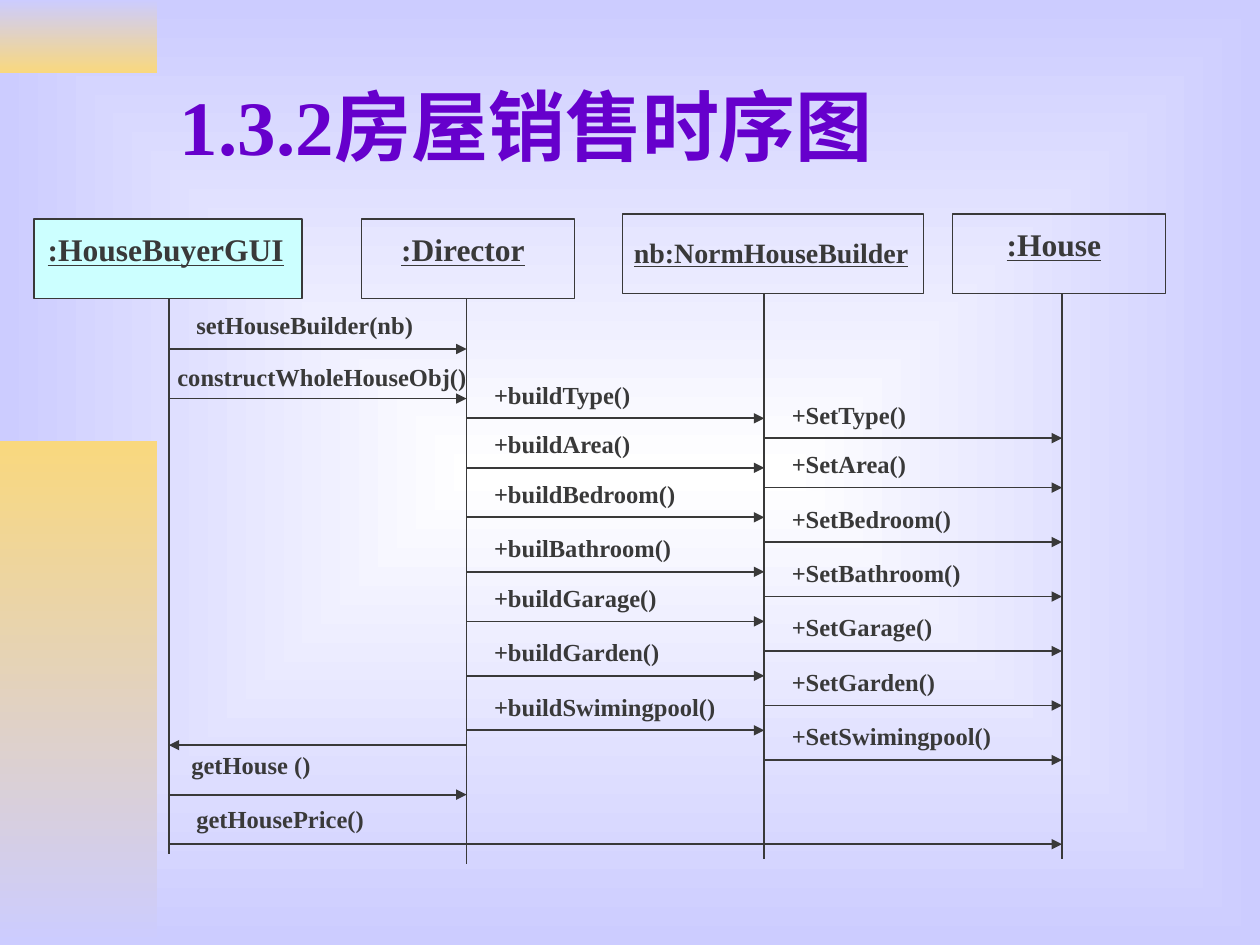
from dataclasses import dataclass

import pptx
import pptx.dml.color
import pptx.enum.shapes
import pptx.enum.text
import pptx.oxml
import pptx.oxml.ns
import pptx.util
from lxml import etree

qn = pptx.oxml.ns.qn
PP_ALIGN = pptx.enum.text.PP_ALIGN


@dataclass(frozen=True)
class Theme:
    font: str = "Times New Roman"
    ink: str = "393939"
    title: str = "6600CC"
    lilac: str = "CCCCFF"
    gold: str = "F9D87E"
    white: str = "FFFFFF"
    cyan: str = "CCFFFF"
    title_size: int = 44
    head_size: int = 18
    small_head_size: int = 16
    label_size: int = 14
    line_width: int = 1


class Diagram:
    """Draws on one slide; every length is in cells of a 100 x 75 grid."""
    COLS, ROWS = 100, 75

    def __init__(self, prs, theme):
        self.theme = theme
        self.s = prs.slides.add_slide(prs.slide_layouts[6])
        self.cell_w = prs.slide_width / self.COLS
        self.cell_h = prs.slide_height / self.ROWS

    def place(self, x, y, w, h):
        return (round(x * self.cell_w), round(y * self.cell_h),
                round(w * self.cell_w), round(h * self.cell_h))

    def rgb(self, colour):
        return pptx.dml.color.RGBColor.from_string(colour)

    def gradient(self, fill, first, last):
        """Two-stop gradient running from top to bottom."""
        fill.gradient()
        fill.gradient_angle = 270
        for stop, colour in zip(fill.gradient_stops, (first, last)):
            stop.color.rgb = self.rgb(colour)

    def background(self, centre, edge):
        """Rectangular gradient spreading from the middle of the slide."""
        self.gradient(self.s.background.fill, centre, edge)
        grad = self.s.element.find(".//" + qn("a:gradFill"))
        grad.remove(grad.find(qn("a:lin")))
        path = etree.SubElement(grad, qn("a:path"), path="rect")
        etree.SubElement(path, qn("a:fillToRect"),
                         l="50000", t="50000", r="50000", b="50000")

    def rect(self, *box):
        sp = self.s.shapes.add_shape(
            pptx.enum.shapes.MSO_SHAPE.RECTANGLE, *self.place(*box))
        sp.shadow.inherit = False
        return sp

    def band(self, box, top, bottom):
        sp = self.rect(*box)
        sp.line.fill.background()
        self.gradient(sp.fill, top, bottom)

    def frame(self, box, fill=None):
        sp = self.rect(*box)
        self.stroke(sp.line)
        if fill:
            sp.fill.solid()
            sp.fill.fore_color.rgb = self.rgb(fill)
        else:
            sp.fill.background()

    def stroke(self, line):
        line.color.rgb = self.rgb(self.theme.ink)
        line.width = pptx.util.Pt(self.theme.line_width)

    def line(self, x1, y1, x2, y2, arrow=False):
        ends = self.place(x1, y1, x2, y2)
        c = self.s.shapes.add_connector(
            pptx.enum.shapes.MSO_CONNECTOR.STRAIGHT, *ends)
        self.stroke(c.line)
        if arrow:
            etree.SubElement(c.line._get_or_add_ln(), qn("a:tailEnd"),
                             type="triangle")
        etree.SubElement(c.element.spPr, qn("a:effectLst"))

    def text(self, box, words, size, colour=None, align=PP_ALIGN.LEFT,
             underline=False, middle=False):
        tf = self.s.shapes.add_textbox(*self.place(*box)).text_frame
        tf.word_wrap = True
        if middle:
            tf.vertical_anchor = pptx.enum.text.MSO_ANCHOR.MIDDLE
        else:
            tf.auto_size = pptx.enum.text.MSO_AUTO_SIZE.SHAPE_TO_FIT_TEXT
        p = tf.paragraphs[0]
        p.alignment = align
        r = p.add_run()
        r.text = words
        r.font.name = self.theme.font
        r.font.size = pptx.util.Pt(size)
        r.font.bold = True
        r.font.underline = underline
        r.font.color.rgb = self.rgb(colour or self.theme.ink)


THEME = Theme()
LIFELINES = [13.4 + 23.63 * i for i in range(4)]
HEAD_H = 6.3
FIRST_MESSAGE, STEP = 27.7, 0.393

# name, frame (left, top, width), text (left, top, width), size, lifeline end
PARTICIPANTS = [
    (":HouseBuyerGUI", (2.7, 17.4, 21.3), (2.8, 17.8, 20.8),
     THEME.head_size, 67.8),
    (":Director", (28.7, 17.4, 16.9), (29.1, 17.8, 15.3),
     THEME.head_size, 68.6),
    ("nb:NormHouseBuilder", (49.4, 17, 23.9), (49.2, 18.2, 24),
     THEME.small_head_size, 68.2),
    (":House", (75.6, 17, 16.9), (76, 17.4, 15.3), THEME.head_size, 68.2),
]

# from lifeline, to lifeline, step down the diagram, label
BUILD_STEPS = zip(
    (14, 24, 34, 45, 55, 66, 77), (18, 28, 39, 50, 61, 72, 83),
    ("buildType", "buildArea", "buildBedroom", "builBathroom",
     "buildGarage", "buildGarden", "buildSwimingpool"),
    ("SetType", "SetArea", "SetBedroom", "SetBathroom",
     "SetGarage", "SetGarden", "SetSwimingpool"))
MESSAGES = [(0, 1, 0, "setHouseBuilder(nb)")]
for build_at, set_at, build, setter in BUILD_STEPS:
    MESSAGES += [(1, 2, build_at, f"+{build}()"),
                 (2, 3, set_at, f"+{setter}()")]
MESSAGES += [(1, 0, 80, None), (0, 3, 100, "getHousePrice()")]

# labels set apart from the usual place: right shift, rise, width
LABEL = (1.2, 3.55, 22)
SHIFTED = {
    "constructWholeHouseObj()": (-0.3, 3.4, 26),
    "getHouse ()": (0.8, 4, 22.1),
    "getHousePrice()": (1.2, 3.7, 22),
}
MESSAGES += [(0, 1, 10, "constructWholeHouseObj()"),
             (0, 1, 90, "getHouse ()")]


def main():
    prs = pptx.Presentation()
    prs.slide_width = pptx.util.Inches(10)
    prs.slide_height = pptx.util.Inches(7.5)
    d = Diagram(prs, THEME)

    d.background(THEME.white, THEME.lilac)
    d.band((0, 0, 12.5, 5.8), THEME.lilac, THEME.gold)
    d.band((0, 35, 12.5, 40), THEME.gold, THEME.lilac)
    d.text((13.3, 3.3, 85, 13.2), "1.3.2房屋销售时序图",
           THEME.title_size, THEME.title, middle=True)

    for i, (name, frame, label, size, end) in enumerate(PARTICIPANTS):
        d.frame((*frame, HEAD_H), None if i else THEME.cyan)
        d.text((*label, 4), name, size, underline=True,
               align=PP_ALIGN.CENTER if i else PP_ALIGN.LEFT)
        d.line(LIFELINES[i], frame[1] + HEAD_H, LIFELINES[i], end)

    for source, target, step, label in MESSAGES:
        y = FIRST_MESSAGE + step * STEP
        d.line(LIFELINES[source], y, LIFELINES[target], y, arrow=True)
        if label:
            shift, rise, width = SHIFTED.get(label, LABEL)
            d.text((LIFELINES[source] + shift, y - rise, width, 3.4),
                   label, THEME.label_size)

    prs.save("out.pptx")


if __name__ == "__main__":
    main()
